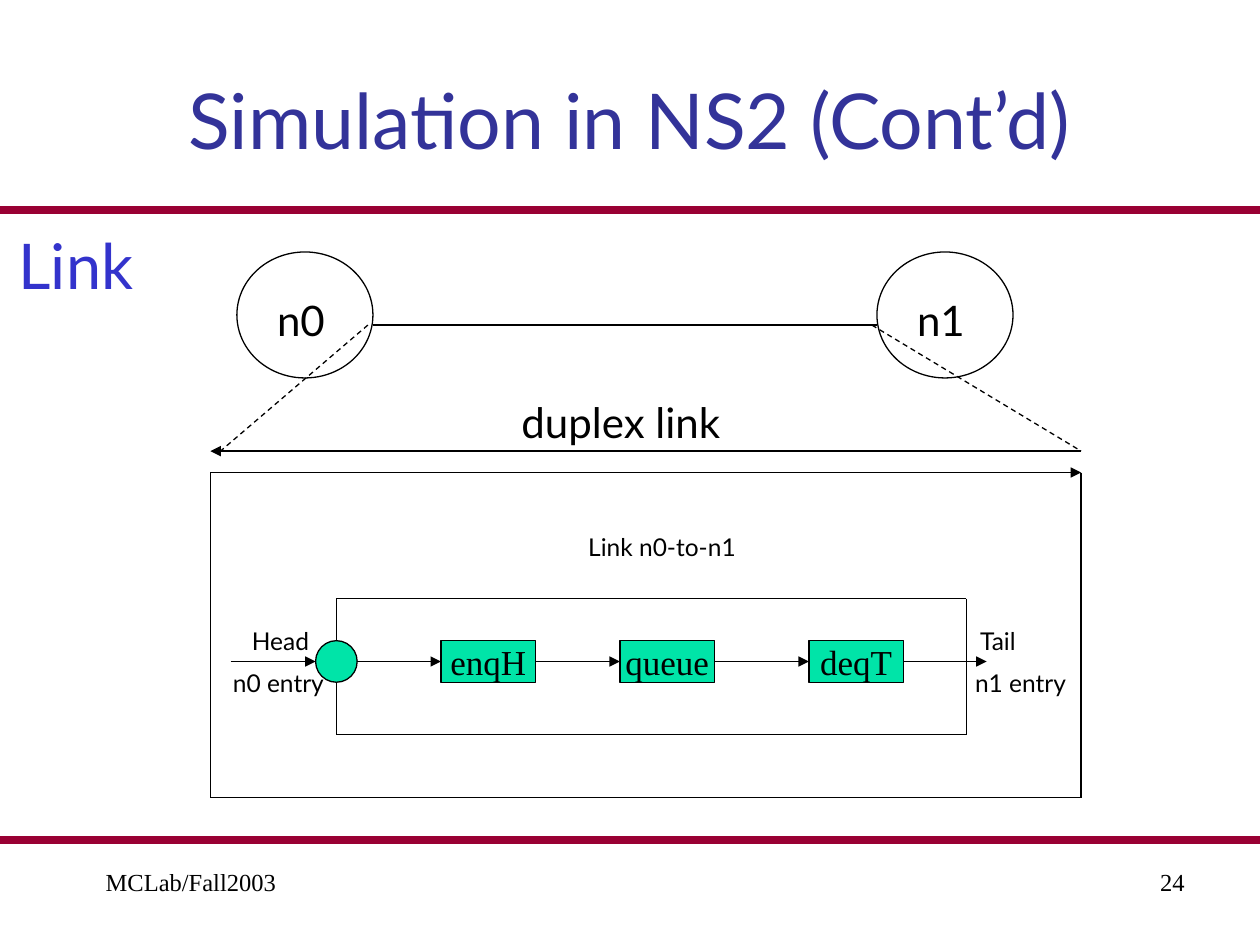
import dataclasses

import pptx
import pptx.dml.color
import pptx.enum.dml
import pptx.enum.shapes
import pptx.enum.text
import pptx.oxml
import pptx.oxml.ns
import pptx.util
from pptx.util import Inches

SHAPES = pptx.enum.shapes.MSO_SHAPE
ALIGN = pptx.enum.text.PP_ALIGN
MIDDLE = pptx.enum.text.MSO_ANCHOR.MIDDLE


@dataclasses.dataclass(frozen=True)
class Theme:
    sans: str = "Lato"
    serif: str = "Times New Roman"
    ink: str = "000000"
    title: str = "333399"
    topic: str = "3333CC"
    rule: str = "990033"
    block: str = "00E4A8"
    title_size: int = 44
    topic_size: int = 36
    node_size: int = 24
    block_size: int = 20
    small_size: int = 14
    thin: float = 0.75
    thick: float = 4.5


THEME = Theme()


@dataclasses.dataclass(frozen=True)
class Box:
    left: float
    top: float
    width: float
    height: float

    @property
    def right(self):
        return self.left + self.width

    @property
    def bottom(self):
        return self.top + self.height

    def inches(self):
        return [Inches(v) for v in (self.left, self.top, self.width, self.height)]


def rgb(value):
    return pptx.dml.color.RGBColor.from_string(value)


def style_text(frame, text, size, color=THEME.ink, font=THEME.sans, align=None):
    frame.text = text
    paragraph = frame.paragraphs[0]
    paragraph.alignment = align
    paragraph.font.size = pptx.util.Pt(size)
    paragraph.font.name = font
    paragraph.font.color.rgb = rgb(color)
    return paragraph


def add_label(slide, box, text, size, color=THEME.ink):
    frame = slide.shapes.add_textbox(*box.inches()).text_frame
    frame.word_wrap = False
    frame.auto_size = pptx.enum.text.MSO_AUTO_SIZE.SHAPE_TO_FIT_TEXT
    style_text(frame, text, size, color)


def add_outlined(slide, kind, box, fill=None):
    shape = slide.shapes.add_shape(kind, *box.inches())
    shape.shadow.inherit = False
    if fill:
        shape.fill.solid()
        shape.fill.fore_color.rgb = rgb(fill)
    else:
        shape.fill.background()
    shape.line.color.rgb = rgb(THEME.ink)
    shape.line.width = pptx.util.Pt(THEME.thin)
    return shape


def add_line(slide, start, end, color=THEME.ink, width=THEME.thin, dashed=False, arrow=False):
    """Draw a straight line; an arrow points at its end."""
    line = slide.shapes.add_connector(
        pptx.enum.shapes.MSO_CONNECTOR.STRAIGHT, *[Inches(v) for v in (*start, *end)])
    line.line.color.rgb = rgb(color)
    line.line.width = pptx.util.Pt(width)
    if dashed:
        line.line.dash_style = pptx.enum.dml.MSO_LINE.DASH
    if arrow:
        tail = pptx.oxml.parse_xml(
            f'<a:tailEnd {pptx.oxml.ns.nsdecls("a")} type="triangle"/>')
        line.line._get_or_add_ln().append(tail)
    line._element.spPr.append(
        pptx.oxml.parse_xml(f'<a:effectLst {pptx.oxml.ns.nsdecls("a")}/>'))
    return line


def add_title(slide, box):
    title = slide.shapes.title
    title.left, title.top, title.width, title.height = box.inches()
    title.text_frame.vertical_anchor = MIDDLE
    style_text(title.text_frame, "Simulation in NS2 (Cont’d)", THEME.title_size,
               THEME.title, align=ALIGN.CENTER)


def add_rules(slide, box):
    for y in (box.bottom, box.top):
        add_line(slide, (box.left, y), (box.right, y), THEME.rule, THEME.thick)


def add_footer(slide, box):
    width = 2.33
    entries = (("MCLab/Fall2003", box.left, ALIGN.LEFT),
               ("24", box.right - width, ALIGN.RIGHT))
    for text, left, align in entries:
        place = Box(left, box.top, width, box.height)
        frame = slide.shapes.add_textbox(*place.inches()).text_frame
        frame.word_wrap = True
        paragraph = style_text(frame, text, THEME.small_size, font=THEME.serif, align=align)
        paragraph._p.get_or_add_pPr().set("marL", str(Inches(0.24)))


def add_nodes(slide, box):
    """Two nodes at the ends of the box, joined by a line."""
    node_width = 1.08
    y = box.top + 0.58
    add_line(slide, (box.left + node_width, y), (box.right - node_width, y))
    for name, left in (("n0", box.left), ("n1", box.right - node_width)):
        add_outlined(slide, SHAPES.OVAL, Box(left, box.top, node_width, box.height))
        add_label(slide, Box(left + 0.22, box.top + 0.29, 0.59, 0.5), name, THEME.node_size)


def add_duplex_link(slide, box):
    """Dashed zoom lines above a pair of opposite arrows."""
    lower = box.bottom
    upper = lower - 0.17
    add_line(slide, (box.left, lower), (box.right, lower), arrow=True)
    add_line(slide, (box.right, upper), (box.left, upper), arrow=True)
    add_line(slide, (box.left + 1.25, box.top), (box.left + 0.08, upper), dashed=True)
    add_line(slide, (box.right - 1.66, box.top), (box.right, upper), dashed=True)
    add_label(slide, Box(box.left + 2.37, box.top + 0.52, 1.91, 0.5),
              "duplex link", THEME.node_size)


def add_link_frame(slide, box):
    """Sides and base below the duplex arrow, with a heading."""
    for x in (box.left, box.right):
        add_line(slide, (x, box.top), (x, box.bottom))
    add_line(slide, (box.left, box.bottom), (box.right, box.bottom))
    add_label(slide, Box(box.left + 2.9, box.top + 0.42, 1.4, 0.34),
              "Link n0-to-n1", THEME.small_size)


def add_queue_chain(slide, box):
    """Entry point and three blocks in a frame, linked along one axis."""
    axis = box.top + 0.5
    size = 0.33
    for y in (box.top, box.bottom):
        add_line(slide, (box.left, y), (box.right, y))
    for x in (box.left, box.right):
        add_line(slide, (x, box.top), (x, box.bottom))

    blocks = []
    for name, offset in (("enqH", 0.83), ("queue", 2.25), ("deqT", 3.75)):
        place = Box(box.left + offset, axis - size / 2, 0.75, size)
        block = add_outlined(slide, SHAPES.RECTANGLE, place, THEME.block)
        block.text_frame.word_wrap = False
        block.text_frame.vertical_anchor = MIDDLE
        style_text(block.text_frame, name, THEME.block_size,
                   font=THEME.serif, align=ALIGN.CENTER)
        blocks.append((block, place))

    entry = Box(box.left - size / 2, axis - size / 2, size, size)
    add_outlined(slide, SHAPES.OVAL, entry, THEME.block)
    add_line(slide, (box.left - 0.84, axis), (entry.left, axis), arrow=True)

    before, x = None, entry.right
    for block, place in blocks:
        arrow = add_line(slide, (x, axis), (place.left, axis), arrow=True)
        if before:
            arrow.begin_connect(before, 3)
        arrow.end_connect(block, 1)
        before, x = block, place.right
    exit_arrow = add_line(slide, (x, axis), (box.right + 0.16, axis), arrow=True)
    exit_arrow.begin_connect(before, 3)

    for text, left, top, width in (
            ("Head", box.left - 0.77, axis - 0.33, 0.68),
            ("n0 entry", box.left - 0.92, axis, 1),
            ("Tail", box.right + 0.01, axis - 0.33, 0.52),
            ("n1 entry", box.right - 0.03, axis, 0.96)):
        add_label(slide, Box(left, top, width, 0.34), text, THEME.small_size)


def main():
    deck = pptx.Presentation()
    deck.slide_width, deck.slide_height = Inches(10), Inches(7.5)
    slide = deck.slides.add_slide(deck.slide_layouts[5])
    add_rules(slide, Box(0, 1.67, 10, 5))
    add_title(slide, Box(0.5, 0.33, 9, 1.22))
    add_label(slide, Box(0.05, 1.75, 1.16, 0.7), "Link", THEME.topic_size, THEME.topic)
    add_nodes(slide, Box(1.88, 2, 6.16, 1))
    add_duplex_link(slide, Box(1.67, 2.58, 6.91, 1.17))
    add_link_frame(slide, Box(1.67, 3.75, 6.91, 2.58))
    add_queue_chain(slide, Box(2.67, 4.75, 5, 1.08))
    add_footer(slide, Box(0.5, 6.83, 9, 0.52))
    deck.save("out.pptx")


if __name__ == "__main__":
    main()
